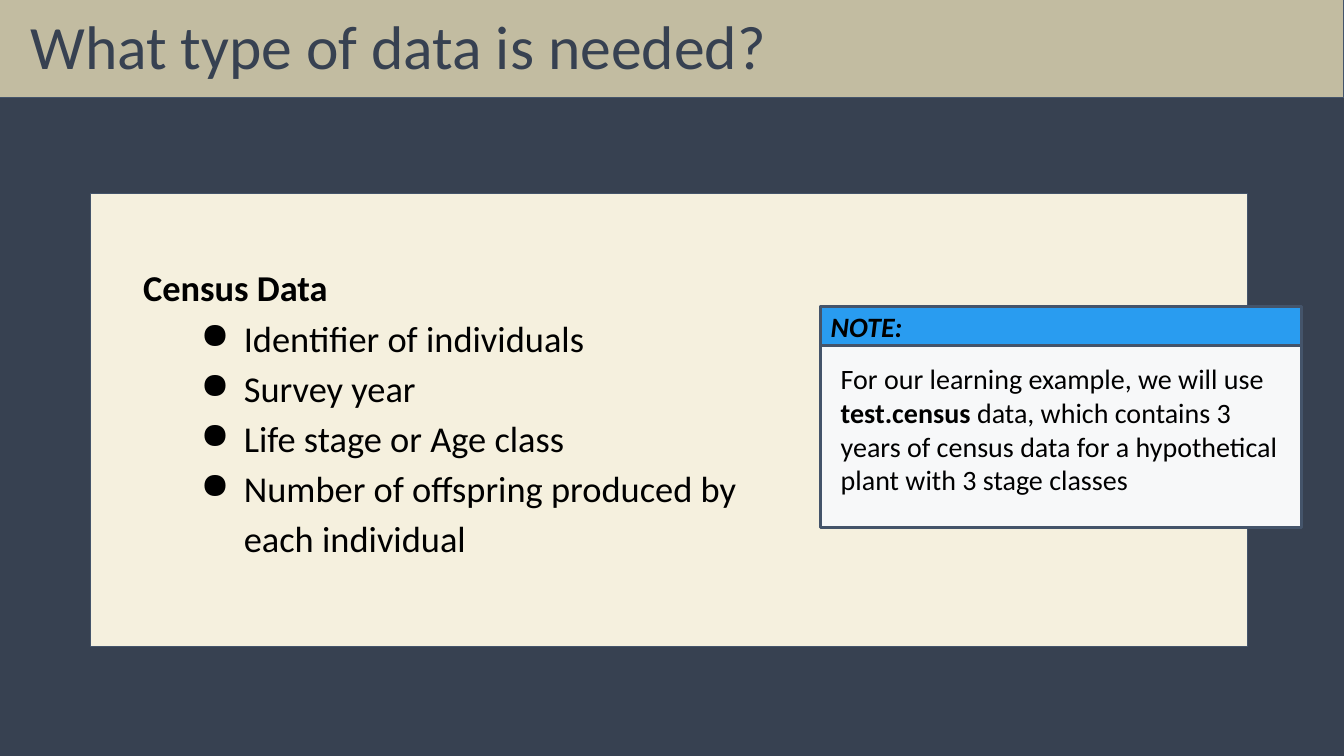
from lxml import etree
from pptx import Presentation
from pptx.dml.color import RGBColor
from pptx.enum import shapes, text
from pptx.oxml import ns
from pptx.util import Inches, Pt

COLOURS = {
    "navy": "374151",
    "outline": "44546A",
    "cream": "F5F0DE",
    "sand": "FEF1C4",
    "paper": "F7F8F9",
    "blue": "299CF0",
    "black": "000000",
}
FONT = "Calibri"


def colour(name):
    return RGBColor.from_string(COLOURS[name])


def add_panel(page, left, top, width, height, fill, line=0.75, opacity=None):
    panel = page.shapes.add_shape(
        shapes.MSO_SHAPE.RECTANGLE,
        Inches(left), Inches(top), Inches(width), Inches(height))
    panel.shadow.inherit = False
    panel.fill.solid()
    panel.fill.fore_color.rgb = colour(fill)
    panel.line.color.rgb = colour("outline")
    panel.line.width = Pt(line)
    if opacity is not None:
        tint = panel.fill._xPr.find(".//" + ns.qn("a:srgbClr"))
        etree.SubElement(tint, ns.qn("a:alpha"), val=str(opacity * 1000))
    return panel


def add_span(para, words, size=20, ink="black", bold=False, italic=False):
    span = para.add_run()
    span.text = words
    span.font.name = FONT
    span.font.size = Pt(size)
    span.font.bold = bold
    span.font.italic = italic
    span.font.color.rgb = colour(ink)


def add_bullet(para, indent=1, hanging=0.43):
    properties = para._p.get_or_add_pPr()
    properties.set("marL", str(Inches(indent)))
    properties.set("indent", str(-Inches(hanging)))
    bullet_colour = etree.SubElement(properties, ns.qn("a:buClr"))
    etree.SubElement(bullet_colour, ns.qn("a:srgbClr"), val=COLOURS["black"])
    etree.SubElement(properties, ns.qn("a:buChar"), char="●")


def set_frame(frame, anchor, vertical_inset=0.1):
    frame.word_wrap = True
    frame.auto_size = text.MSO_AUTO_SIZE.NONE
    frame.vertical_anchor = anchor
    frame.margin_left = frame.margin_right = Inches(0.1)
    frame.margin_top = frame.margin_bottom = Inches(vertical_inset)


def add_text_box(page, left, top, width, height, anchor=text.MSO_ANCHOR.TOP):
    box = page.shapes.add_textbox(
        Inches(left), Inches(top), Inches(width), Inches(height))
    set_frame(box.text_frame, anchor)
    return box.text_frame


def add_title(page, words):
    band = add_panel(page, 0, 0, 13.33, 0.97, "sand", opacity=70)
    title = page.shapes.title
    title.left, title.top = Inches(0.2), Inches(0.07)
    title.width, title.height = Inches(12.9), Inches(0.84)
    set_frame(title.text_frame, text.MSO_ANCHOR.MIDDLE, vertical_inset=0.05)
    para = title.text_frame.paragraphs[0]
    para.alignment = text.PP_ALIGN.LEFT
    para.line_spacing = 0.9
    add_span(para, words, size=44, ink="navy")
    # The title sits in front of its band
    title._element.addprevious(band._element)


def add_list(page, heading, items):
    add_panel(page, 0.9, 1.92, 11.47, 4.49, "cream")
    frame = add_text_box(page, 1.32, 2.47, 6.38, 3.47)
    para = frame.paragraphs[0]
    para.line_spacing = 1.15
    add_span(para, heading, size=26, bold=True)
    for item in items:
        para = frame.add_paragraph()
        para.line_spacing = 1.15
        add_bullet(para)
        add_span(para, item, size=26)


def add_note(page, label, spans):
    left, top, width, bar = 8.14, 3.04, 4.77, 0.39
    add_panel(page, left, top, width, 2.19, "paper", line=2.25)
    add_panel(page, left, top, width, bar, "blue", line=2.25)
    frame = add_text_box(page, left, top, 1.87, bar, text.MSO_ANCHOR.MIDDLE)
    add_span(frame.paragraphs[0], label, bold=True, italic=True)
    frame = add_text_box(page, left + 0.1, 3.49, width - 0.2, 1.63)
    for words, bold in spans:
        add_span(frame.paragraphs[0], words, bold=bold)


def main():
    deck = Presentation()
    deck.slide_width, deck.slide_height = Inches(13.33), Inches(7.5)
    page = deck.slides.add_slide(deck.slide_layouts[5])
    page.background.fill.solid()
    page.background.fill.fore_color.rgb = colour("navy")

    # Title band
    add_title(page, "What type of data is needed?")

    # Data required
    add_list(page, "Census Data", [
        "Identifier of individuals",
        "Survey year",
        "Life stage or Age class",
        "Number of offspring produced by each individual",
    ])

    # Note on the example data
    add_note(page, "NOTE:", [
        ("For our learning example, we will use ", False),
        ("test.census", True),
        (" data, which contains 3 years of census data for a hypothetical "
         "plant with 3 stage classes", False),
    ])
    deck.save("out.pptx")


if __name__ == "__main__":
    main()
